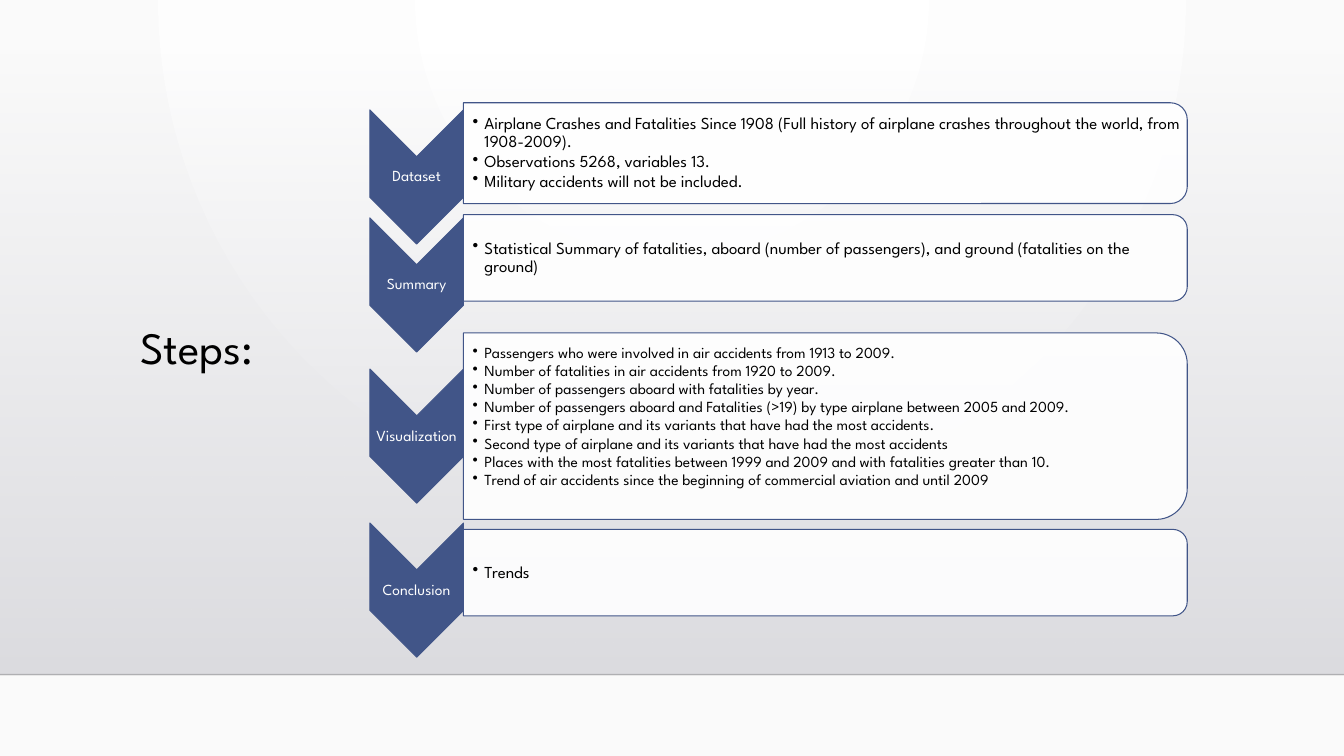
from dataclasses import dataclass

from lxml import etree
from pptx import Presentation
from pptx.dml.color import RGBColor
from pptx.enum.shapes import MSO_CONNECTOR, MSO_SHAPE
from pptx.enum.text import MSO_ANCHOR, PP_ALIGN
from pptx.oxml import parse_xml
from pptx.oxml.ns import nsdecls, qn
from pptx.util import Cm, Pt

CHEVRON = MSO_SHAPE.CHEVRON
PANEL = MSO_SHAPE.ROUND_2_SAME_RECTANGLE
RECTANGLE = MSO_SHAPE.RECTANGLE
STRAIGHT = MSO_CONNECTOR.STRAIGHT
MIDDLE, TOP = MSO_ANCHOR.MIDDLE, MSO_ANCHOR.TOP
CENTER, LEFT = PP_ALIGN.CENTER, PP_ALIGN.LEFT

FONT = "League Spartan"
COLORS = {
    "accent": "415588",
    "white": "FFFFFF",
    "text": "000000",
    "edge": "FAFAFA",
    "wall_top": "DCDCE0",
    "wall_bottom": "DEDEE2",
    "floor_line": "000001",
}
SLIDE_WIDTH, SLIDE_HEIGHT = 33.87, 19.05
FLOOR_TOP = 17.0
CHEVRON_CENTER, CHEVRON_LENGTH, CHEVRON_WIDTH = 10.5, 3.38, 2.36
PANEL_LEFT, PANEL_WIDTH = 11.68, 18.24


@dataclass
class Step:
    label: str
    chevron_middle: float
    panel_middle: float
    panel_height: float
    bullets: list[str]
    size: int = 12
    bottom_inset: float = 0.03


STEPS = [
    Step("Dataset", 4.46, 3.86, 2.54, [
        "Airplane Crashes and Fatalities Since 1908 (Full history of airplane "
        "crashes throughout the world, from 1908-2009).",
        "Observations 5268, variables 13.",
        "Military accidents will not be included.",
    ]),
    Step("Summary", 7.18, 6.5, 2.18, [
        "Statistical Summary of fatalities, aboard (number of passengers), "
        "and ground (fatalities on the ground)",
    ]),
    Step("Visualization", 10.99, 10.74, 4.7, [
        "Passengers who were involved in air accidents from 1913 to 2009.",
        "Number of fatalities in air accidents from 1920 to 2009.",
        "Number of passengers aboard with fatalities by year.",
        "Number of passengers aboard and Fatalities (>19) by type airplane "
        "between 2005 and 2009.",
        "First type of airplane and its variants that have had the most accidents.",
        "Second type of airplane and its variants that have had the most accidents",
        "Places with the most fatalities between 1999 and 2009 and with "
        "fatalities greater than 10.",
        "Trend of air accidents since the beginning of commercial aviation "
        "and until 2009",
    ], size=11, bottom_inset=0.5),
    Step("Conclusion", 14.87, 14.43, 2.18, ["Trends"]),
]


def color(name: str) -> RGBColor:
    return RGBColor.from_string(COLORS[name])


def set_alpha(fill_parent, percent: int) -> None:
    """Make the solid colour inside an XML element partly transparent."""
    value = fill_parent.find(".//" + qn("a:srgbClr"))
    etree.SubElement(value, qn("a:alpha")).set("val", str(percent * 1000))


def format_paragraph(paragraph, size: int, color_name: str, alignment=LEFT) -> None:
    paragraph.alignment = alignment
    paragraph.line_spacing = 0.9
    paragraph.font.name = FONT
    paragraph.font.size = Pt(size)
    paragraph.font.color.rgb = color(color_name)


def add_bullet(paragraph) -> None:
    properties = paragraph._p.get_or_add_pPr()
    properties.set("marL", str(Cm(0.3)))
    properties.set("indent", str(Cm(-0.3)))
    bullet = parse_xml(f'<a:buChar {nsdecls("a")} char="•"/>')
    properties.insert_element_before(bullet, "a:tabLst", "a:defRPr", "a:extLst")


def set_background(slide) -> None:
    slide.background.fill.solid()
    properties = slide.background._cSld.find(qn("p:bg")).find(qn("p:bgPr"))
    gradient = parse_xml(
        f'<a:gradFill {nsdecls("a")} rotWithShape="1"><a:gsLst>'
        f'<a:gs pos="0"><a:srgbClr val="{COLORS["white"]}"/></a:gs>'
        f'<a:gs pos="100000"><a:srgbClr val="{COLORS["edge"]}"/></a:gs></a:gsLst>'
        '<a:path path="circle"><a:fillToRect l="43000" t="0" r="43000" b="100000"/>'
        '</a:path></a:gradFill>')
    properties.replace(properties.find(qn("a:solidFill")), gradient)


def add_wall(slide) -> None:
    """Draw the grey wall that fades out upwards, and the line along its foot."""
    wall = slide.shapes.add_shape(RECTANGLE, 0, Cm(1.3), Cm(SLIDE_WIDTH),
                                  Cm(FLOOR_TOP - 1.3))
    wall.shadow.inherit = False
    wall.line.fill.background()
    wall.fill.solid()
    gradient = parse_xml(
        f'<a:gradFill {nsdecls("a")} rotWithShape="1"><a:gsLst>'
        f'<a:gs pos="0"><a:srgbClr val="{COLORS["wall_top"]}"><a:alpha val="0"/>'
        f'</a:srgbClr></a:gs><a:gs pos="100000">'
        f'<a:srgbClr val="{COLORS["wall_bottom"]}"/></a:gs></a:gsLst>'
        '<a:lin ang="5400000" scaled="0"/></a:gradFill>')
    properties = wall._element.spPr
    properties.replace(properties.find(qn("a:solidFill")), gradient)

    floor_line = slide.shapes.add_connector(STRAIGHT, 0, Cm(FLOOR_TOP),
                                            Cm(SLIDE_WIDTH), Cm(FLOOR_TOP))
    floor_line.line.width = Pt(1)
    floor_line.line.color.rgb = color("floor_line")
    set_alpha(floor_line._element.spPr, 20)
    etree.SubElement(floor_line._element.spPr, qn("a:effectLst"))


def format_title(slide) -> None:
    title = slide.shapes.title
    slide.shapes._spTree.append(title._element)  # in front of the wall
    title.left, title.top = Cm(3.28), Cm(8.08)
    title.width, title.height = Cm(8.41), Cm(1.73)
    title.text_frame.text = "Steps:"
    title.text_frame.vertical_anchor = TOP
    format_paragraph(title.text_frame.paragraphs[0], 32, "text")


def add_turned_shape(slide, kind, center: float, middle: float, length: float,
                     breadth: float, fill: str):
    """Add a shape turned a quarter clockwise about its centre."""
    shape = slide.shapes.add_shape(kind, Cm(center - length / 2),
                                   Cm(middle - breadth / 2), Cm(length), Cm(breadth))
    shape.rotation = 90
    shape.shadow.inherit = False
    shape.fill.solid()
    shape.fill.fore_color.rgb = color(fill)
    shape.line.color.rgb = color("accent")
    shape.line.width = Pt(0.75)
    return shape


def add_text_frame(slide, left: float, middle: float, width: float, height: float,
                   left_inset: float, bottom_inset: float = 0.03):
    box = slide.shapes.add_textbox(Cm(left), Cm(middle - height / 2),
                                   Cm(width), Cm(height))
    frame = box.text_frame
    frame.word_wrap = True
    frame.vertical_anchor = MIDDLE
    frame.margin_left, frame.margin_bottom = Cm(left_inset), Cm(bottom_inset)
    frame.margin_top = frame.margin_right = Cm(0.03)
    return frame


def add_step(slide, step: Step) -> None:
    add_turned_shape(slide, CHEVRON, CHEVRON_CENTER, step.chevron_middle,
                     CHEVRON_LENGTH, CHEVRON_WIDTH, "accent")
    label = add_text_frame(slide, CHEVRON_CENTER - CHEVRON_WIDTH / 2,
                           step.chevron_middle, CHEVRON_WIDTH, 1.02, 0.03)
    label.text = step.label
    format_paragraph(label.paragraphs[0], 11, "white", CENTER)

    panel = add_turned_shape(slide, PANEL, PANEL_LEFT + PANEL_WIDTH / 2,
                             step.panel_middle, step.panel_height, PANEL_WIDTH, "white")
    set_alpha(panel._element.spPr.find(qn("a:solidFill")), 90)
    body = add_text_frame(slide, PANEL_LEFT, step.panel_middle, PANEL_WIDTH - 0.13,
                          step.panel_height - 0.25, 0.23, step.bottom_inset)
    body.text = "\n".join(step.bullets)
    for paragraph in body.paragraphs:
        format_paragraph(paragraph, step.size, "text")
        paragraph.space_after = Pt(1.1)
        add_bullet(paragraph)


def main() -> None:
    presentation = Presentation()
    presentation.slide_width = Cm(SLIDE_WIDTH)
    presentation.slide_height = Cm(SLIDE_HEIGHT)
    slide = presentation.slides.add_slide(presentation.slide_layouts[5])
    set_background(slide)
    add_wall(slide)
    format_title(slide)
    for step in STEPS:
        add_step(slide, step)
    presentation.save("out.pptx")


if __name__ == "__main__":
    main()
